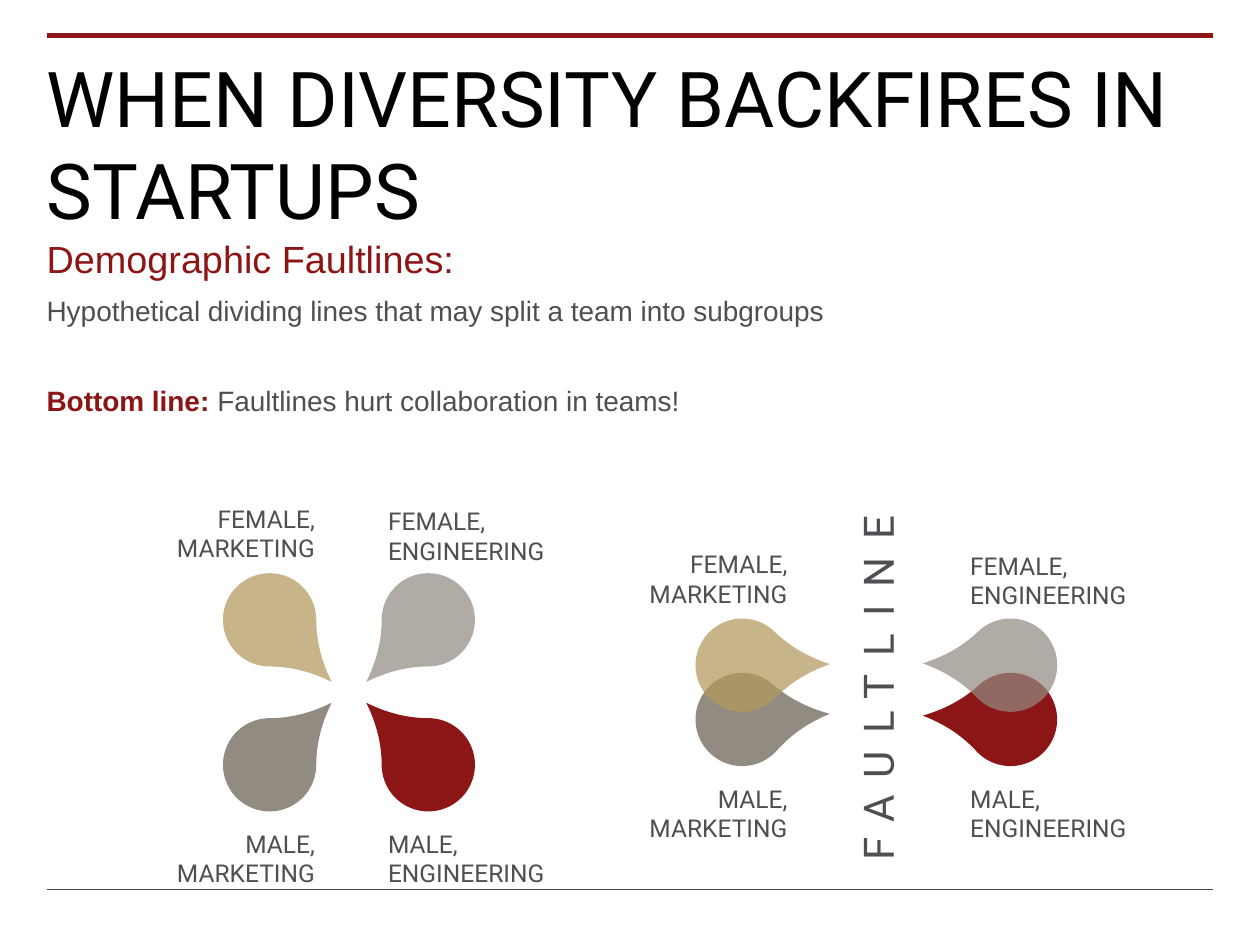
"""Build a slide on demographic faultlines in startup teams."""
from dataclasses import dataclass

from lxml import etree
from pptx import Presentation, util as u
from pptx.dml.color import RGBColor
from pptx.enum import shapes, text
from pptx.oxml.ns import qn

PX = 9144
SIZE = 74
HEADING, LABEL = "Roboto", "Roboto"
COLORS = {"red": "8C1515", "rule": "4D4A3D", "text": "4D4F53",
          "black": "000000", "stone": "928B81", "sand": "B3995D"}


@dataclass(frozen=True)
class Label:
    x: int
    y: int
    gender: str
    role: str


@dataclass(frozen=True)
class Drop:
    x: int
    y: int
    color: str
    flip: str = ""
    alpha: int = 100
    rotation: float = 0


LABELS = [
    Label(75, 400, "FEMALE", "MARKETING"),
    Label(75, 658, "MALE", "MARKETING"),
    Label(308, 402, "FEMALE", "ENGINEERING"),
    Label(308, 658, "MALE", "ENGINEERING"),
    Label(450, 436, "FEMALE", "MARKETING"),
    Label(450, 622, "MALE", "MARKETING"),
    Label(770, 437, "FEMALE", "ENGINEERING"),
    Label(770, 622, "MALE", "ENGINEERING"),
]
DROPS = [
    Drop(177, 570, "stone"),
    Drop(177, 455, "sand", "v", 73),
    Drop(303, 455, "stone", "hv", 72),
    Drop(303, 570, "red", "h"),
    Drop(552, 534, "stone", rotation=41.3),
    Drop(552, 491, "sand", "v", 73, 314.3),
    Drop(765, 534, "red", "h", rotation=317.5),
    Drop(765, 491, "stone", "hv", 72, 46.2),
]


def box(x: int, y: int, w: int, h: int) -> list[int]:
    return [v * PX for v in (x, y, w, h)]


def rgb(name: str) -> RGBColor:
    return RGBColor.from_string(COLORS[name])


def set_font(font, name: str, size: float, color: str) -> None:
    font.name, font.size = name, u.Pt(size)
    font.color.rgb = rgb(color)


def set_frame(tf, inset: int = 0) -> None:
    tf.word_wrap = True
    tf.auto_size = text.MSO_AUTO_SIZE.NONE
    tf.vertical_anchor = text.MSO_ANCHOR.TOP
    tf.margin_left = tf.margin_right = 0
    tf.margin_top = tf.margin_bottom = inset * PX


def add_rule(s, y: int, color: str, width: float) -> None:
    line = s.shapes.add_connector(shapes.MSO_CONNECTOR.STRAIGHT,
                                  37 * PX, y * PX, 963 * PX, y * PX)
    line.line.color.rgb = rgb(color)
    line.line.width = u.Pt(width)
    etree.SubElement(line._element.spPr, qn("a:effectLst"))


def fill_title(sp) -> None:
    sp.left, sp.top, sp.width, sp.height = box(37, 34, 926, 44)
    tf = sp.text_frame
    set_frame(tf, 6)
    tf.text = "WHEN DIVERSITY BACKFIRES IN STARTUPS"
    p = tf.paragraphs[0]
    p.alignment = text.PP_ALIGN.LEFT
    set_font(p.font, HEADING, 44, "black")


def fill_body(sp) -> None:
    sp.left, sp.top, sp.width, sp.height = box(37, 190, 926, 36)
    tf = sp.text_frame
    set_frame(tf)
    tf.text = ("Demographic Faultlines:\n"
               "Hypothetical dividing lines that may split a team into subgroups\n"
               "Bottom line: ")
    formats = [(21.6, "red", 8), (16, "text", 33), (16, "text", 8)]
    for p, (size, color, after) in zip(tf.paragraphs, formats):
        set_font(p.font, "Arial", size, color)
        p.line_spacing = 0.95
        p.space_before, p.space_after = u.Pt(0), u.Pt(after)
        pPr = p._p.get_or_add_pPr()
        pPr.set("marL", "0")
        pPr.set("indent", "0")
        pPr.insert_element_before(etree.Element(qn("a:buNone")),
                                  "a:tabLst", "a:defRPr", "a:extLst")
    p = tf.paragraphs[-1]
    lead = p.runs[0].font
    lead.bold = True
    lead.color.rgb = rgb("red")
    p.add_run().text = "Faultlines hurt collaboration in teams!"


def add_label(s, label: Label) -> None:
    tf = s.shapes.add_textbox(*box(label.x, label.y, 175, 47)).text_frame
    set_frame(tf)
    tf.text = f"{label.gender},\n{label.role}"
    right = label.role == "MARKETING"
    for p in tf.paragraphs:
        p.alignment = text.PP_ALIGN.RIGHT if right else text.PP_ALIGN.LEFT
        set_font(p.font, LABEL, 14, "text")


def add_drop(s, drop: Drop) -> None:
    sp = s.shapes.add_shape(shapes.MSO_SHAPE.TEAR, *box(drop.x, drop.y, SIZE, SIZE))
    sp.adjustments[0] = 1.332
    sp.rotation = drop.rotation
    sp.shadow.inherit = False
    sp.line.fill.background()
    sp.fill.solid()
    sp.fill.fore_color.rgb = rgb(drop.color)
    spPr = sp._element.spPr
    for axis in drop.flip:
        spPr.find(qn("a:xfrm")).set(f"flip{axis.upper()}", "1")
    if drop.alpha < 100:
        color = spPr.find(qn("a:solidFill")).find(qn("a:srgbClr"))
        etree.SubElement(color, qn("a:alpha"), val=str(drop.alpha * 1000))


def add_faultline(s) -> None:
    sp = s.shapes.add_textbox(*box(542, 526, 308, 40))
    sp.rotation = 270
    tf = sp.text_frame
    set_frame(tf)
    p = tf.paragraphs[0]
    p.alignment = text.PP_ALIGN.CENTER
    set_font(p.font, LABEL, 24, "text")
    r = p.add_run()
    r.text = "FAULTLINE"
    r._r.get_or_add_rPr().set("spc", "1000")


def main() -> None:
    prs = Presentation()
    prs.slide_width, prs.slide_height = 1000 * PX, 750 * PX
    s = prs.slides.add_slide(prs.slide_layouts[1])
    add_rule(s, 28, "red", 3)
    add_rule(s, 706, "rule", 0.25)
    fill_title(s.shapes.title)
    fill_body(s.placeholders[1])
    for label in LABELS:
        add_label(s, label)
    for drop in DROPS:
        add_drop(s, drop)
    add_faultline(s)
    prs.save("out.pptx")


if __name__ == "__main__":
    main()
